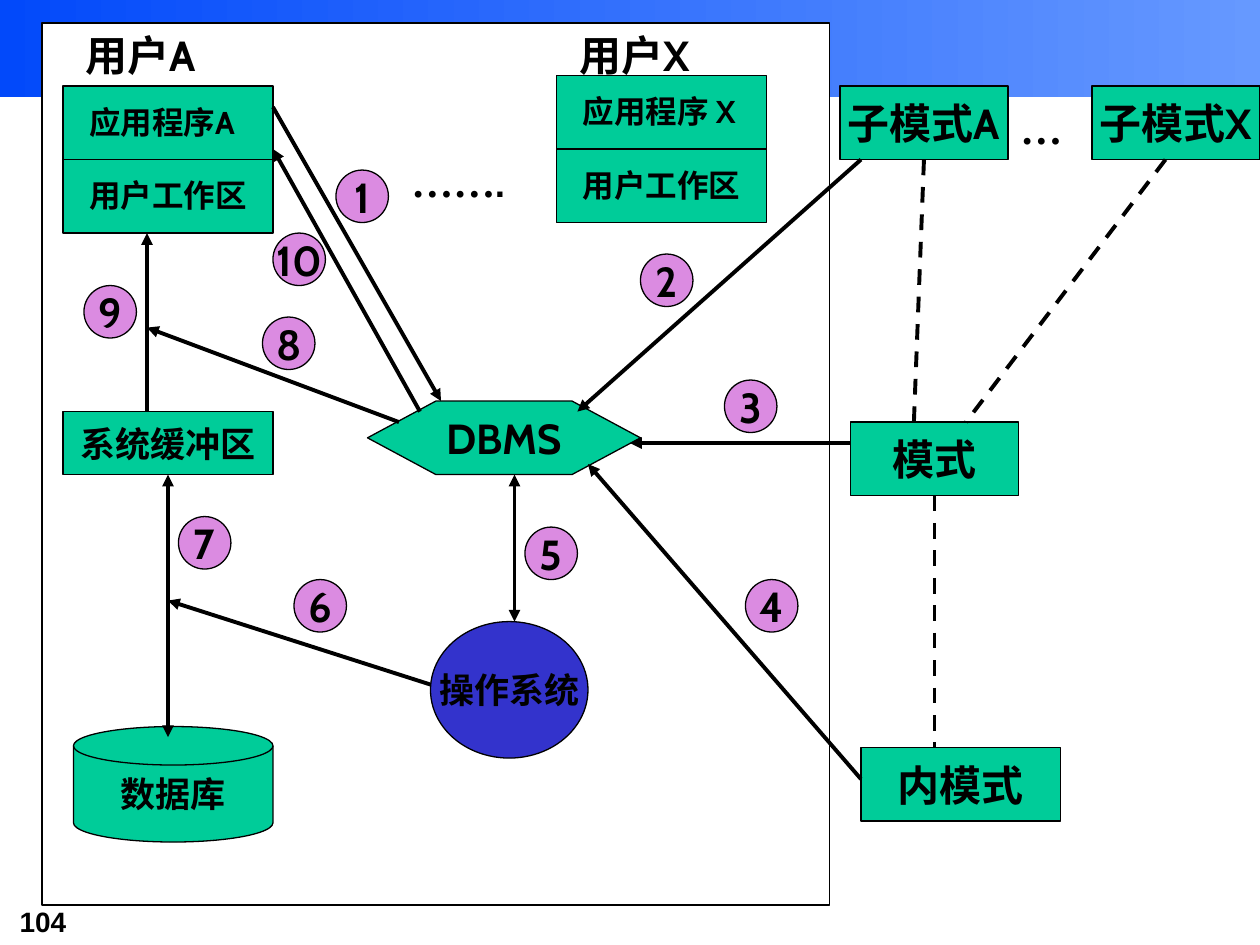
from pptx import Presentation
from pptx.dml.color import RGBColor
from pptx.enum.dml import MSO_LINE
from pptx.enum.shapes import MSO_CONNECTOR, MSO_SHAPE
from pptx.enum.text import MSO_ANCHOR, PP_ALIGN
from pptx.oxml.ns import qn
from pptx.util import Emu, Pt
from lxml.etree import SubElement

PX = 7620  # EMU per px, 120 px to the inch
COLORS = {
    "black": "000000", "white": "FFFFFF", "green": "00CC99", "indigo": "3333CC",
    "violet": "DB8BE1", "banner_start": "0249FA", "banner_end": "6699FF",
}
FONT = "Cabin"
TOP, LEFT, BOTTOM, RIGHT = range(4)  # connection sites of a rectangle


def color(name):
    return RGBColor.from_string(COLORS[name])


def emu(*lengths):
    return [Emu(length * PX) for length in lengths]


def inside(box, left, top, width, height):
    """Turn a box relative to a region into a box on the slide."""
    return box[0] + left, box[1] + top, width, height


def style_run(run, size, font=FONT):
    run.font.name = font
    run.font.size = Pt(size)
    run.font.bold = True
    run.font.color.rgb = color("black")


def add_node(slide, box, text="", size=24, fill="green", kind=MSO_SHAPE.RECTANGLE):
    shape = slide.shapes.add_shape(kind, *emu(*box))
    shape.shadow.inherit = False
    shape.fill.solid()
    shape.fill.fore_color.rgb = color(fill)
    shape.line.color.rgb = color("black")
    shape.line.width = Pt(0.75)
    if text:
        text_frame = shape.text_frame
        text_frame.text = text
        text_frame.word_wrap = False
        text_frame.vertical_anchor = MSO_ANCHOR.MIDDLE
        paragraph = text_frame.paragraphs[0]
        paragraph.alignment = PP_ALIGN.CENTER
        style_run(paragraph.runs[0], size)
    return shape


def add_label(slide, box, text, size=24, font=FONT, indent=0):
    shape = slide.shapes.add_textbox(*emu(*box))
    text_frame = shape.text_frame
    text_frame.word_wrap = True
    text_frame.margin_left = Emu((12 + indent) * PX)
    text_frame.text = text
    paragraph = text_frame.paragraphs[0]
    style_run(paragraph.runs[0], size, font)
    return paragraph


def add_line(slide, box, ends, width=2.25, arrows="", dashed=False):
    """Draw a line between two points of a region; arrows names its arrowheads."""
    x1, y1, x2, y2 = ends
    connector = slide.shapes.add_connector(
        MSO_CONNECTOR.STRAIGHT, *emu(box[0] + x1, box[1] + y1, box[0] + x2, box[1] + y2))
    connector.line.color.rgb = color("black")
    connector.line.width = Pt(width)
    if dashed:
        connector.line.dash_style = MSO_LINE.DASH
    properties = connector._element.spPr
    for end in arrows.split():
        SubElement(properties.find(qn("a:ln")), qn(f"a:{end}"), type="triangle")
    SubElement(properties, qn("a:effectLst"))
    return connector


def draw_banner(slide, box):
    banner = slide.shapes.add_shape(MSO_SHAPE.RECTANGLE, *emu(*box))
    banner.shadow.inherit = False
    banner.line.fill.background()
    banner.fill.gradient()
    banner.fill.gradient_angle = 0
    for stop, name in zip(banner.fill.gradient_stops, ("banner_start", "banner_end")):
        stop.color.rgb = color(name)


def draw_user(slide, box, title_rise, title, program):
    """Title over a box split into the program and its work area."""
    width, height = box[2:]
    middle = height // 2
    panel = add_node(slide, box)
    divider = add_line(slide, box, (0, middle, width, middle), width=0.75)
    divider.begin_connect(panel, LEFT)
    divider.end_connect(panel, RIGHT)
    for row, text in enumerate((program, "用户工作区")):
        add_label(slide, inside(box, 0, 10 + row * middle, width, 48), text, 18, indent=13)
    add_label(slide, inside(box, 10, -title_rise, 170, 60), title)


def draw_system(slide, box):
    """Frame with the users, DBMS, operating system and storage."""
    add_node(slide, box, fill="white")
    dots = add_label(slide, inside(box, 340, 120, 160, 60), "……", font="Times New Roman")
    last_dot = dots.add_run()
    last_dot.text = "."
    style_run(last_dot, 24)
    draw_user(slide, inside(box, 20, 60, 200, 140), 60, "用户A", "应用程序A")
    draw_user(slide, inside(box, 490, 50, 200, 140), 50, "用户X", "应用程序 X")
    buffer = add_node(slide, inside(box, 20, 370, 200, 60), "系统缓冲区", 20)
    dbms = add_node(slide, inside(box, 310, 360, 260, 70), "DBMS", kind=MSO_SHAPE.HEXAGON)
    dbms.adjustments[0] = 0.93
    add_node(slide, inside(box, 370, 570, 150, 130), "操作系统", 20, "indigo", MSO_SHAPE.OVAL)
    add_node(slide, inside(box, 30, 670, 190, 110), "数据库", 20,
             kind=MSO_SHAPE.FLOWCHART_MAGNETIC_DISK)
    return buffer


def draw_schemas(slide, box):
    """Subschemas, schema and internal schema with their dashed mappings."""
    subschema = add_node(slide, inside(box, 0, 0, 160, 70), "子模式A")
    add_node(slide, inside(box, 240, 0, 160, 70), "子模式X")
    add_label(slide, inside(box, 160, 10, 60, 60), "…", font="Times New Roman")
    schema = add_node(slide, inside(box, 10, 320, 160, 70), "模式")
    add_node(slide, inside(box, 20, 630, 190, 70), "内模式")
    for ends, start in (
        ((90, 390, 90, 630), schema),
        ((80, 70, 70, 330), subschema),
        ((310, 70, 120, 320), None),
    ):
        mapping = add_line(slide, box, ends, dashed=True)
        if start:
            mapping.begin_connect(start, BOTTOM)


def draw_steps(slide, box, buffer):
    """Arrows of the ten steps, then their numbered circles."""
    one_way, two_way = "tailEnd", "headEnd tailEnd"
    steps = [  # arrow ends, arrowheads, circle corner
        ((220, 80, 380, 360), one_way, (280, 140)),
        ((780, 130, 510, 370), one_way, (570, 220)),
        ((770, 400, 560, 400), one_way, (650, 340)),
        ((780, 720, 520, 420), one_way, (670, 530)),
        ((450, 570, 450, 430), two_way, (460, 480)),
        ((370, 630, 120, 550), one_way, (240, 530)),
        ((120, 430, 120, 680), two_way, (130, 470)),
        ((340, 380, 100, 290), one_way, (210, 280)),
        ((100, 370, 100, 200), one_way, (40, 250)),
        ((360, 370, 220, 120), one_way, (220, 200)),
    ]
    arrows = [add_line(slide, box, ends, arrows=heads) for ends, heads, _ in steps]
    arrows[6].begin_connect(buffer, BOTTOM)
    for number, (_, _, corner) in enumerate(steps, 1):
        add_node(slide, inside(box, *corner, 50, 50), str(number),
                 fill="violet", kind=MSO_SHAPE.OVAL)


def main():
    presentation = Presentation()
    presentation.slide_width, presentation.slide_height = emu(1200, 900)
    slide = presentation.slides.add_slide(presentation.slide_layouts[6])
    system_box = (40, 22, 750, 840)
    draw_banner(slide, (0, 0, 1200, 92))
    add_label(slide, (7, 856, 146, 44), "104", 16, "Arial")
    buffer = draw_system(slide, system_box)
    draw_schemas(slide, (800, 82, 400, 700))
    draw_steps(slide, system_box, buffer)
    presentation.save("out.pptx")


if __name__ == "__main__":
    main()
